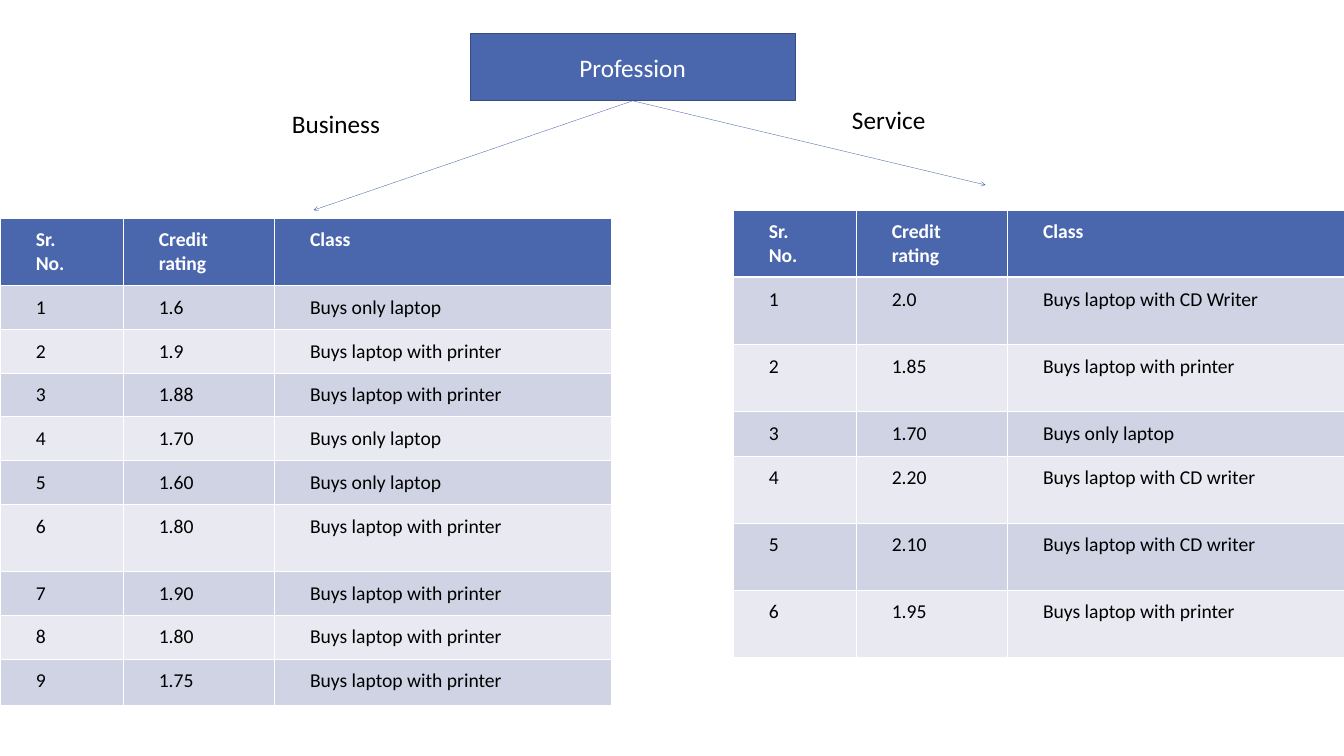
import pptx
import pptx.dml.color
import pptx.enum.shapes
import pptx.enum.text
import pptx.oxml
import pptx.oxml.ns
import pptx.util

EMU_PER_PX = 9144
BLUE = pptx.dml.color.RGBColor(0x4A, 0x66, 0xAC)
DARK_BLUE = pptx.dml.color.RGBColor(0x37, 0x4B, 0x7F)
LAVENDER = pptx.dml.color.RGBColor(0xD0, 0xD3, 0xE3)
PALE = pptx.dml.color.RGBColor(0xE9, 0xEA, 0xF1)
WHITE = pptx.dml.color.RGBColor(0xFF, 0xFF, 0xFF)
BLACK = pptx.dml.color.RGBColor(0x00, 0x00, 0x00)

HEADERS = ("Sr. No.", "Credit rating", "Class")
COLUMN_WIDTHS = (244, 300, 668)
LAPTOP = "Buys only laptop"
PRINTER = "Buys laptop with printer"
WRITER = "Buys laptop with CD writer"
BUSINESS_ROWS = (
    ("1.6", LAPTOP), ("1.9", PRINTER), ("1.88", PRINTER),
    ("1.70", LAPTOP), ("1.60", LAPTOP), ("1.80", PRINTER),
    ("1.90", PRINTER), ("1.80", PRINTER), ("1.75", PRINTER),
)
SERVICE_ROWS = (
    ("2.0", "Buys laptop with CD Writer"), ("1.85", PRINTER), ("1.70", LAPTOP),
    ("2.20", WRITER), ("2.10", WRITER), ("1.95", PRINTER),
)
BUSINESS_HEIGHTS = (133, 87, 74, 84, 87, 87, 133, 80, 85, 93)
SERVICE_HEIGHTS = (133, 133, 133, 88, 133, 133, 133)


def emu(*lengths):
    return [pptx.util.Emu(length * EMU_PER_PX) for length in lengths]


def set_values(target, values):
    for name, value in values.items():
        setattr(target, name, value)


class SlideBuilder:
    font = "Calibri"
    label_size = 36
    cell_size = 28

    def __init__(self, slide):
        self.slide = slide

    def add_text(self, frame, text, size, color, bold=False):
        para = frame.paragraphs[0]
        span = para.add_run()
        span.text = text
        set_values(span.font, {"name": self.font, "size": pptx.util.Pt(size), "bold": bold})
        span.font.color.rgb = color
        return para

    def set_margins(self, target, horizontal, vertical):
        side, end = emu(horizontal, vertical)
        set_values(target, {"margin_left": side, "margin_right": side,
                            "margin_top": end, "margin_bottom": end})

    def box(self, text, *bounds):
        box = self.slide.shapes.add_shape(pptx.enum.shapes.MSO_SHAPE.RECTANGLE, *emu(*bounds))
        box.shadow.inherit = False
        box.fill.solid()
        box.fill.fore_color.rgb = BLUE
        box.line.color.rgb = DARK_BLUE
        box.line.width = pptx.util.Pt(1)
        self.set_margins(box.text_frame, 24, 12)
        box.text_frame.vertical_anchor = pptx.enum.text.MSO_ANCHOR.MIDDLE
        para = self.add_text(box.text_frame, text, self.label_size, WHITE)
        para.alignment = pptx.enum.text.PP_ALIGN.CENTER
        return box

    def label(self, text, *bounds):
        frame = self.slide.shapes.add_textbox(*emu(*bounds)).text_frame
        set_values(frame, {"word_wrap": False,
                           "auto_size": pptx.enum.text.MSO_AUTO_SIZE.SHAPE_TO_FIT_TEXT})
        self.set_margins(frame, 24, 12)
        self.add_text(frame, text, self.label_size, BLACK)

    def arrow(self, box, x, y):
        arrow = self.slide.shapes.add_connector(
            pptx.enum.shapes.MSO_CONNECTOR.STRAIGHT, *emu(0, 0, x, y))
        arrow.begin_connect(box, 2)
        arrow.line.color.rgb = BLUE
        arrow.line.width = pptx.util.Pt(0.5)
        line = arrow.line._get_or_add_ln()
        line.append(pptx.oxml.parse_xml(
            f'<a:tailEnd {pptx.oxml.ns.nsdecls("a")} type="arrow"/>'))
        arrow._element.spPr.append(pptx.oxml.parse_xml(
            f'<a:effectLst {pptx.oxml.ns.nsdecls("a")}/>'))

    def border(self, cell, side, points):
        cell._tc.get_or_add_tcPr().append(pptx.oxml.parse_xml(
            f'<a:ln{side} {pptx.oxml.ns.nsdecls("a")} w="{pptx.util.Pt(points)}">'
            f'<a:solidFill><a:srgbClr val="{WHITE}"/></a:solidFill></a:ln{side}>'))

    def cell(self, cell, text, row):
        is_header = row == 0
        widths = {"L": 1, "R": 1, "T": 3 if row == 1 else 1, "B": 3 if is_header else 1}
        for side, points in widths.items():
            self.border(cell, side, points)
        cell.fill.solid()
        cell.fill.fore_color.rgb = BLUE if is_header else LAVENDER if row % 2 else PALE
        self.set_margins(cell, 71, 20)
        self.add_text(cell.text_frame, text, self.cell_size,
                      WHITE if is_header else BLACK, is_header)

    def table(self, left, top, records, heights):
        rows = [HEADERS] + [(str(number), *record) for number, record in enumerate(records, 1)]
        table = self.slide.shapes.add_table(
            len(rows), len(HEADERS),
            *emu(left, top, sum(COLUMN_WIDTHS), sum(heights))).table
        for column, width in zip(table.columns, emu(*COLUMN_WIDTHS)):
            column.width = width
        for row, height in zip(table.rows, emu(*heights)):
            row.height = height
        for row, texts in enumerate(rows):
            for column, text in enumerate(texts):
                self.cell(table.cell(row, column), text, row)


def main():
    deck = pptx.Presentation()
    deck.slide_width, deck.slide_height = emu(2666, 1500)
    page = SlideBuilder(deck.slides.add_slide(deck.slide_layouts[6]))
    profession = page.box("Profession", 933, 67, 644, 133)
    page.arrow(profession, 622, 417)
    page.arrow(profession, 1955, 367)
    page.label("Business", 555, 203, 233, 85)
    page.label("Service", 1666, 195, 202, 85)
    page.table(0, 433, BUSINESS_ROWS, BUSINESS_HEIGHTS)
    page.table(1454, 417, SERVICE_ROWS, SERVICE_HEIGHTS)
    deck.save("out.pptx")


if __name__ == "__main__":
    main()
